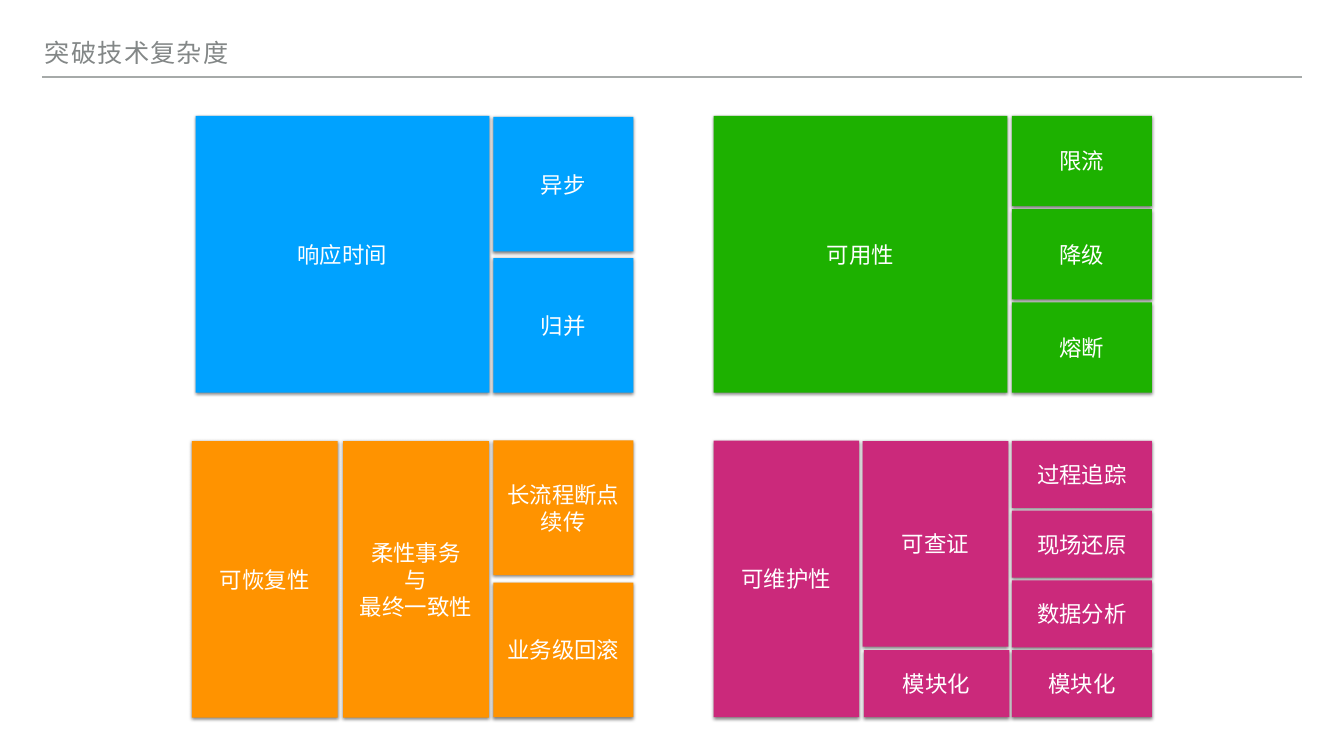
"""Build the slide of four technical-complexity blocks."""
from lxml.etree import SubElement
from pptx import Presentation
from pptx.dml.color import RGBColor
from pptx.enum.shapes import MSO_CONNECTOR as Connector, MSO_SHAPE as Shape
from pptx.enum.text import MSO_ANCHOR as Anchor, PP_ALIGN as Align
from pptx.oxml.ns import qn
from pptx.util import Inches, Pt

BLUE = RGBColor(0x00, 0xA2, 0xFF)
GREEN = RGBColor(0x1D, 0xB1, 0x00)
ORANGE = RGBColor(0xFF, 0x93, 0x00)
PINK = RGBColor(0xCB, 0x29, 0x7B)
WHITE = RGBColor(0xFF, 0xFF, 0xFF)
TITLE_GREY = RGBColor(0x83, 0x87, 0x87)
RULE_GREY = RGBColor(0xA6, 0xAA, 0xA9)

TITLE = "突破技术复杂度"
WIDE, HALF, NARROW = 5.83, 2.89, 2.78
FULL, PAIR, THIRD, QUARTER = 5.49, 2.67, 1.79, 1.33

# Each column: colour, left, top, bottom, tile width, tile height, labels
COLUMNS = [
    (ORANGE, 3.81, 8.75, 14.24, HALF, FULL, ["可恢复性"]),
    (ORANGE, 6.81, 8.75, 14.24, HALF, FULL, ["柔性事务\n与\n最终一致性"]),
    (ORANGE, 9.79, 8.74, 14.23, NARROW, PAIR, ["长流程断点续传", "业务级回滚"]),
    (GREEN, 14.16, 2.3, 7.79, WIDE, FULL, ["可用性"]),
    (GREEN, 20.08, 2.3, 7.79, NARROW, THIRD, ["限流", "降级", "熔断"]),
    (BLUE, 3.88, 2.3, 7.79, WIDE, FULL, ["响应时间"]),
    (BLUE, 9.79, 2.32, 7.79, NARROW, PAIR, ["异步", "归并"]),
    (PINK, 20.08, 8.75, 14.23, NARROW, QUARTER, ["过程追踪", "现场还原", "数据分析", "模块化"]),
    (PINK, 14.16, 8.74, 14.23, HALF, FULL, ["可维护性"]),
    (PINK, 17.12, 8.75, 12.83, HALF, 4.08, ["可查证"]),
    (PINK, 17.14, 12.9, 14.23, HALF, QUARTER, ["模块化"]),
]


def write(shape, text, *, font, size, color, align, anchor, line_spacing=None, tracking=None):
    frame = shape.text_frame
    frame.word_wrap = True
    frame.vertical_anchor = anchor
    frame.margin_left = frame.margin_right = Inches(0.06)
    frame.margin_top = frame.margin_bottom = Inches(0.06)
    frame.text = text
    for paragraph in frame.paragraphs:
        paragraph.alignment = align
        paragraph.line_spacing = line_spacing
        for run in paragraph.runs:
            run.font.name = font
            run.font.size = Pt(size)
            run.font.color.rgb = color
            if tracking:
                run.font._element.set("spc", str(round(tracking * 100)))


def add_shadow(tile):
    tile.shadow.inherit = False
    effects = tile._element.spPr.find(qn("a:effectLst"))
    shadow = SubElement(effects, qn("a:outerShdw"), blurRad=str(Pt(5)), dist=str(Pt(2)),
                        dir="5400000", rotWithShape="0")
    black = SubElement(shadow, qn("a:srgbClr"), val="000000")
    SubElement(black, qn("a:alpha"), val="50000")


def add_column(slide, color, left, top, bottom, width, height, labels):
    pitch = (bottom - top - height) / max(len(labels) - 1, 1)
    for row, label in enumerate(labels):
        tile = slide.shapes.add_shape(Shape.RECTANGLE, Inches(left), Inches(top + row * pitch),
                                      Inches(width), Inches(height))
        tile.fill.solid()
        tile.fill.fore_color.rgb = color
        tile.line.fill.background()
        add_shadow(tile)
        write(tile, label, font="Arial", size=32, color=WHITE,
              align=Align.CENTER, anchor=Anchor.MIDDLE)


def main():
    deck = Presentation()
    deck.slide_width, deck.slide_height = Inches(26.67), Inches(15)
    slide = deck.slides.add_slide(deck.slide_layouts[6])

    rule = slide.shapes.add_connector(Connector.STRAIGHT, Inches(0.83), Inches(1.53),
                                      Inches(25.83), Inches(1.53))
    rule.line.color.rgb = RULE_GREY
    rule.line.width = Pt(2)
    SubElement(rule._element.spPr, qn("a:effectLst"))

    heading = slide.shapes.add_textbox(Inches(0.83), Inches(0.58), Inches(22.92), Inches(0.81))
    write(heading, TITLE, font="Lato", size=36, color=TITLE_GREY, align=Align.LEFT,
          anchor=Anchor.BOTTOM, line_spacing=0.8, tracking=1.8)

    for column in COLUMNS:
        add_column(slide, *column)
    deck.save("out.pptx")


if __name__ == "__main__":
    main()
